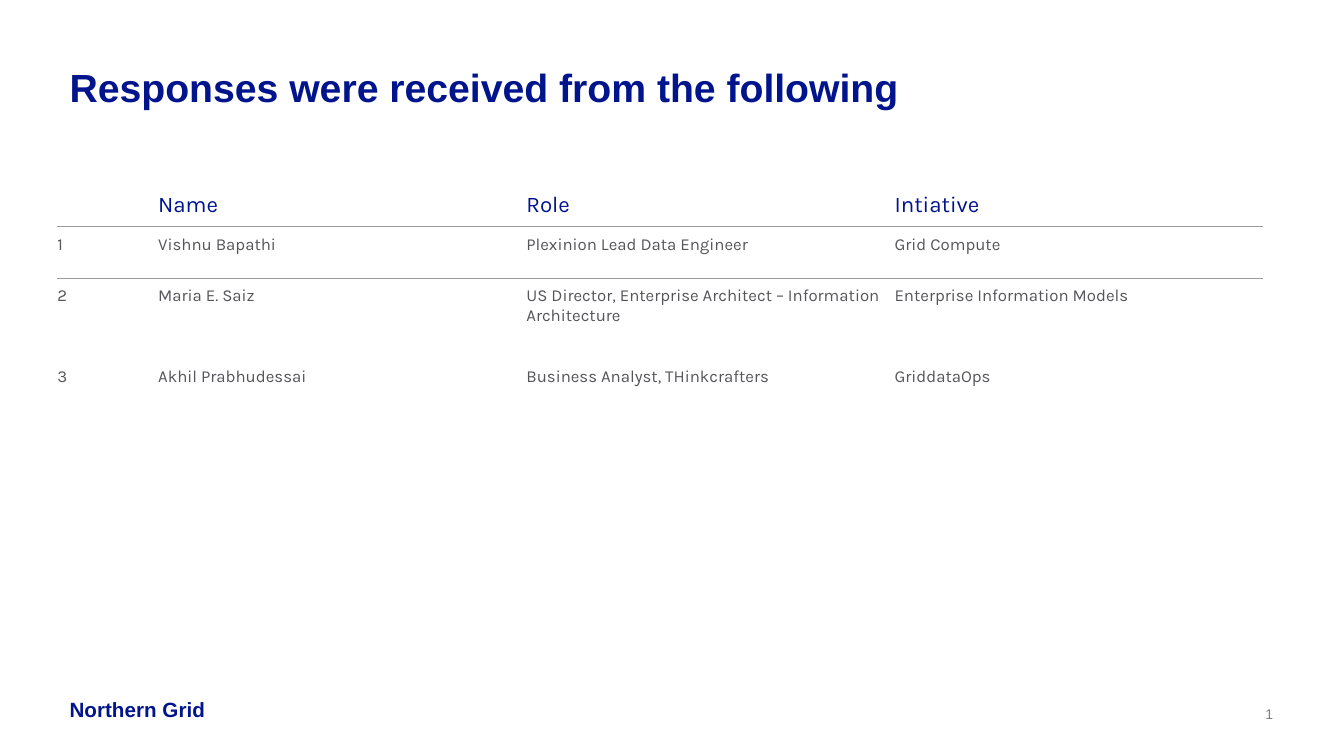
from lxml import etree
from pptx import Presentation
from pptx.dml.color import RGBColor
from pptx.enum import text as t
from pptx.oxml import ns
from pptx.util import Pt

BLUE = RGBColor(0x00, 0x14, 0x8C)
GREY = RGBColor(0x55, 0x55, 0x5A)
PALE = RGBColor(0x80, 0x80, 0x80)
RULE = RGBColor(0x9A, 0x9A, 0x9A)


def style(frame, font, size, color, bold=False):
    para = frame.paragraphs[0]
    para.font.name, para.font.size, para.font.bold = font, Pt(size), bold
    para.font.color.rgb = color
    return para


def trim(frame, anchor):
    frame.margin_left = frame.margin_right = 0
    frame.margin_top = frame.margin_bottom = 0
    frame.vertical_anchor = anchor
    frame.word_wrap = True
    frame.auto_size = t.MSO_AUTO_SIZE.NONE


prs = Presentation()
prs.slide_width, prs.slide_height = Pt(960), Pt(540)
slide = prs.slides.add_slide(prs.slide_layouts[5])

# Title
title = slide.shapes.title
title.left, title.top, title.width, title.height = Pt(49.7), Pt(49), Pt(861), Pt(30.2)
title.text = "Responses were received from the following"
trim(title.text_frame, t.MSO_ANCHOR.TOP)
para = style(title.text_frame, "Arial", 28, BLUE, True)
para.alignment = t.PP_ALIGN.LEFT
para.line_spacing = 0.9

# Table of respondents
rows = [
    ("", "Name", "Role", "Intiative"),
    ("1", "Vishnu Bapathi", "Plexinion Lead Data Engineer", "Grid Compute"),
    ("2", "Maria E. Saiz", "US Director, Enterprise Architect – Information Architecture",
     "Enterprise Information Models"),
    ("3", "Akhil Prabhudessai", "Business Analyst, THinkcrafters", "GriddataOps"),
    ("",) * 4,
    ("",) * 4,
]
widths = [72] + [263] * 3
heights = [43.9, 36.8, 57.6, 36.8, 36.8, 36.8]
table = slide.shapes.add_table(len(rows), len(widths), Pt(41), Pt(118),
                               Pt(sum(widths)), Pt(sum(heights))).table
table.first_row = table.horz_banding = False
for col, width in zip(table.columns, widths):
    col.width = Pt(width)
for i, (row, high) in enumerate(zip(rows, heights)):
    table.rows[i].height = Pt(high)
    for j, words in enumerate(row):
        cell = table.cell(i, j)
        cell.margin_left = 0
        cell.margin_right = cell.margin_top = cell.margin_bottom = Pt(5.76)
        cell.vertical_anchor = t.MSO_ANCHOR.TOP if i else t.MSO_ANCHOR.BOTTOM
        cell.text = words
        style(cell.text_frame, "Karla", 12 if i else 16, GREY if i else BLUE)
        cell.fill.background()
        # Rules under the header and the first row only
        props = cell._tc.get_or_add_tcPr()
        shown = {"lnL": False, "lnR": False, "lnT": i in (1, 2), "lnB": i in (0, 1)}
        for k, (side, on) in enumerate(shown.items()):
            line = etree.Element(ns.qn("a:" + side), w=str(Pt(0.75)))
            if on:
                fill = etree.SubElement(line, ns.qn("a:solidFill"))
                etree.SubElement(fill, ns.qn("a:srgbClr"), val=str(RULE))
            else:
                etree.SubElement(line, ns.qn("a:noFill"))
            props.insert(k, line)

# Footer name
foot = slide.shapes.add_textbox(Pt(49.7), Pt(497.5), Pt(120), Pt(18)).text_frame
trim(foot, t.MSO_ANCHOR.BOTTOM)
foot.text = "Northern Grid"
style(foot, "Arial", 14.7, BLUE, True)

# Slide number
page = slide.shapes.add_textbox(Pt(879), Pt(504), Pt(30.3), Pt(12.2)).text_frame
trim(page, t.MSO_ANCHOR.BOTTOM)
para = page.paragraphs[0]
field = etree.SubElement(para._p, ns.qn("a:fld"), type="slidenum",
                         id="{B6F15528-21DE-4FAA-801E-634DDDAF4B2B}")
etree.SubElement(field, ns.qn("a:rPr"), lang="en-GB")
etree.SubElement(field, ns.qn("a:t")).text = "1"
style(page, "Arial", 10, PALE).alignment = t.PP_ALIGN.RIGHT

prs.save("out.pptx")
